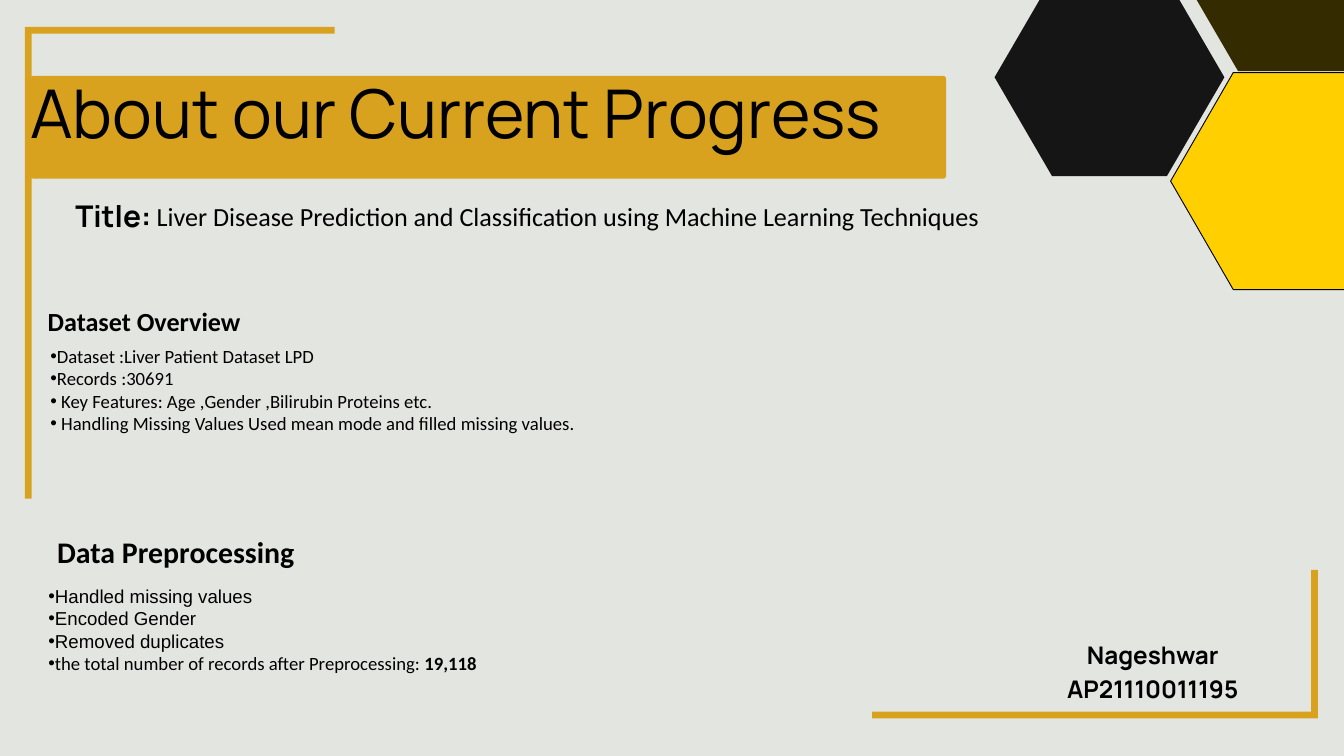
from lxml.etree import SubElement
from pptx import Presentation
from pptx.dml.color import RGBColor
from pptx.enum.shapes import MSO_SHAPE
from pptx.enum.text import MSO_ANCHOR, MSO_AUTO_SIZE, PP_ALIGN
from pptx.oxml.ns import qn
from pptx.util import Inches, Pt

WIDE, HIGH = 20, 11.25
COLORS = {"back": "E3E5E0", "gold": "D8A21E", "black": "151515",
          "yellow": "FFCF00", "brown": "342B00", "text": "000000"}

# Content: each paragraph is a list of (text, font, bold) runs
TITLE = [[("About our Current Progress", "Manrope", False)]]
LABEL = [[("Title:", "Manrope", True)]]
TOPIC = [[("Liver Disease Prediction and Classification using "
           "Machine Learning Techniques", "Calibri", False)]]
AUTHOR = [[(line, "Manrope", True)] for line in ("Nageshwar", "AP21110011195")]
DATA_HEAD = [[("Dataset Overview", "Calibri", True)]]
DATA = [[(line, "Calibri", False)] for line in (
    "Dataset :Liver Patient Dataset LPD",
    "Records :30691",
    " Key Features: Age ,Gender ,Bilirubin Proteins etc.",
    " Handling Missing Values Used mean mode and filled missing values.")]
PREP_HEAD = [[("Data Preprocessing", "Calibri", True)]]
PREP = [[(line, "Arial", False)] for line in (
    "Handled missing values", "Encoded Gender", "Removed duplicates")]
PREP.append([("the total number of records after Preprocessing: ", "Calibri", False),
             ("19,118", "Calibri", True)])

# Left, top, width, height, fill, outlined
HEXES = [(14.8, -0.32, 3.42, 2.94, "black", False),
         (17.42, 1.08, 3.73, 3.23, "yellow", True),
         (17.57, -1.88, 3.42, 2.94, "brown", False)]
# Corner x, y, then far end x, y of the two arms
BRACKETS = [(0.37, 0.4, 4.98, 7.42), (19.61, 10.69, 12.98, 8.48)]
THICK = 0.1


def color(name):
    return RGBColor.from_string(COLORS[name])


def paint(shape, fill, lined=False):
    shape.shadow.inherit = False
    shape.fill.solid()
    shape.fill.fore_color.rgb = color(fill)
    if lined:
        shape.line.color.rgb = color("text")
        shape.line.width = Pt(1)
    else:
        shape.line.fill.background()


def outline(slide, points, fill, lined=False):
    points = [(Inches(x), Inches(y)) for x, y in points]
    form = slide.shapes.build_freeform(*points[0])
    form.add_line_segments(points[1:], close=True)
    paint(form.convert_to_shape(), fill, lined)


def place(shape, box):
    shape.left, shape.top, shape.width, shape.height = map(Inches, box)


def write(shape, box, lines, size, inset=True, space=1.0,
          align=PP_ALIGN.LEFT, bullet=False):
    place(shape, box)
    frame = shape.text_frame
    frame.word_wrap = True
    frame.auto_size = MSO_AUTO_SIZE.NONE
    frame.vertical_anchor = MSO_ANCHOR.TOP
    side, edge = (0.1, 0.05) if inset else (0, 0)
    frame.margin_left = frame.margin_right = Inches(side)
    frame.margin_top = frame.margin_bottom = Inches(edge)
    frame.text = "\n".join("" for _ in lines)
    for para, runs in zip(frame.paragraphs, lines):
        para.alignment = align
        para.line_spacing = space
        para.space_before = para.space_after = Pt(0)
        props = para._p.get_or_add_pPr()
        props.set("marL", "0")
        props.set("indent", "0")
        if bullet:
            SubElement(props, qn("a:buFont"), typeface="Arial")
            SubElement(props, qn("a:buChar"), char="•")
        for text, face, bold in runs:
            run = para.add_run()
            run.text = text
            run.font.name, run.font.size, run.font.bold = face, Pt(size), bold
            run.font.color.rgb = color("text")


def main():
    deck = Presentation()
    deck.slide_width, deck.slide_height = Inches(WIDE), Inches(HIGH)
    slide = deck.slides.add_slide(deck.slide_layouts.get_by_name("Comparison"))
    slide.background.fill.solid()
    slide.background.fill.fore_color.rgb = color("back")
    tree = slide.shapes._spTree
    holders = {item.placeholder_format.idx: item for item in slide.placeholders}

    # Title banner
    bar = slide.shapes.add_shape(MSO_SHAPE.ROUNDED_RECTANGLE, 0, 0, 1, 1)
    place(bar, (0.45, 1.13, 13.63, 1.53))
    bar.adjustments[0] = 0.03
    paint(bar, "gold")

    # Hexagons in the top right corner
    for x, y, w, h, fill, lined in HEXES:
        shares = [(0, .5), (.25, 0), (.75, 0), (1, .5), (.75, 1), (.25, 1)]
        outline(slide, [(x + w * a, y + h * b) for a, b in shares], fill, lined)

    # Corner brackets, arms pointing toward the slide's middle
    for x, y, far_x, far_y in BRACKETS:
        step = THICK if far_x > x else -THICK
        outline(slide, [(x, y), (far_x, y), (far_x, y + step),
                        (x + step, y + step), (x + step, far_y), (x, far_y)], "gold")

    # Title and lists, brought in front of the shapes
    for item in holders.values():
        tree.append(item._element)
    write(holders[0], (0.45, 1.9, 13.92, 0.56), TITLE, 72, False, Pt(26.4))
    write(holders[1], (0.61, 4.49, 3.43, 0.57), DATA_HEAD, 28)
    write(holders[2], (0.65, 5.08, 8.92, 1.78), DATA, 20, bullet=True)
    write(holders[3], (0.75, 7.93, 4.42, 0.59), PREP_HEAD, 32, space=Pt(35.4))
    write(holders[4], (0.62, 8.65, 7.21, 1.44), PREP, 20, bullet=True)

    # Topic line and author
    for box, lines, size, space, align in (
            ((1.12, 2.98, 1.29, 0.49), LABEL, 32, 35.4, PP_ALIGN.LEFT),
            ((2.33, 2.95, 12.95, 0.49), TOPIC, 28, 35.8, PP_ALIGN.JUSTIFY),
            ((14.93, 9.46, 4.45, 0.99), AUTHOR, 26, 36.4, PP_ALIGN.CENTER)):
        note = slide.shapes.add_textbox(0, 0, 1, 1)
        write(note, box, lines, size, False, Pt(space), align)

    deck.save("out.pptx")


if __name__ == "__main__":
    main()
